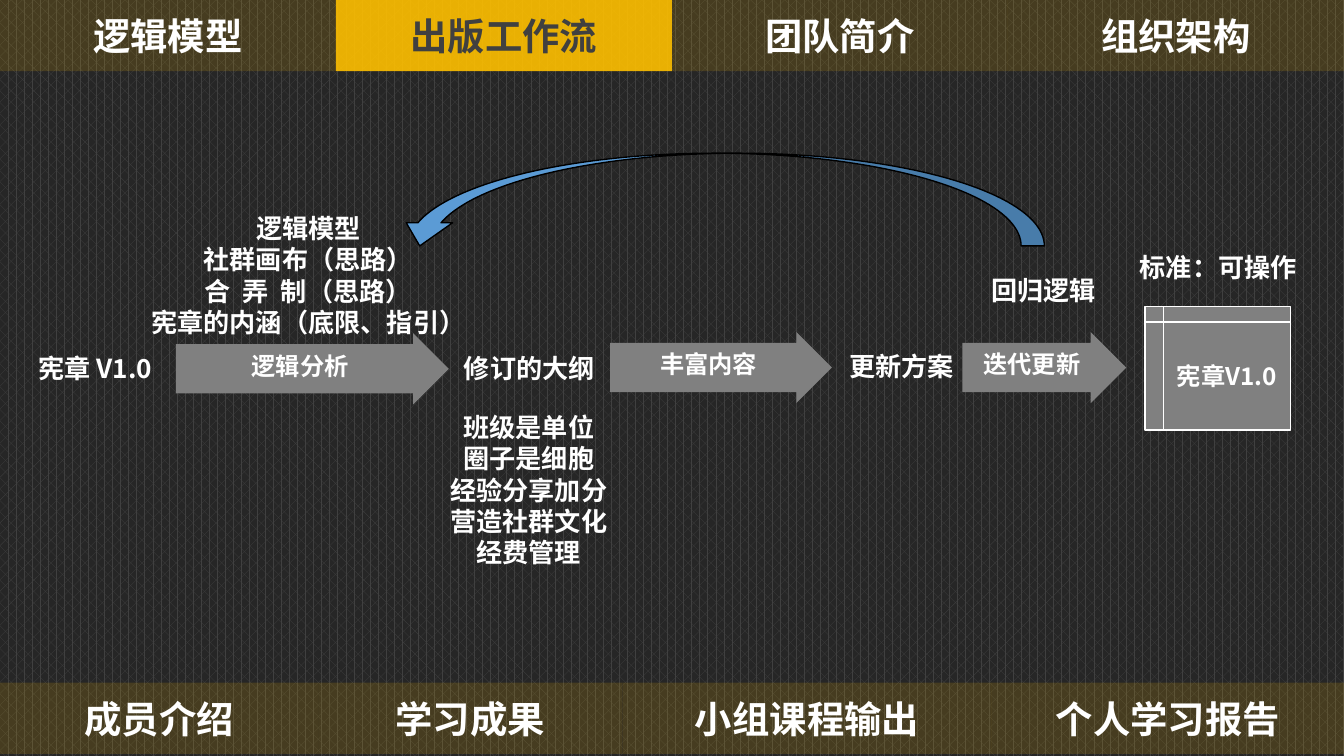
from itertools import accumulate

from lxml.etree import SubElement
from pptx import Presentation
from pptx.dml.color import RGBColor
from pptx.enum.dml import MSO_PATTERN
from pptx.enum.shapes import MSO_SHAPE
from pptx.enum.text import MSO_ANCHOR, MSO_AUTO_SIZE, PP_ALIGN
from pptx.oxml.ns import qn
from pptx.util import Inches, Pt

WHITE = RGBColor(0xFF, 0xFF, 0xFF)
BLACK = RGBColor(0x00, 0x00, 0x00)
CHARCOAL = RGBColor(0x26, 0x26, 0x26)
SLATE = RGBColor(0x40, 0x40, 0x40)
GRAY = RGBColor(0x80, 0x80, 0x80)
GOLD = RGBColor(0xFF, 0xC0, 0x00)
BLUE = RGBColor(0x5B, 0x9B, 0xD5)

FONT = "Noto Sans CJK SC"
SLIDE_WIDTH = 10
SLIDE_HEIGHT = SLIDE_WIDTH * 9 / 16
TAB_HEIGHT = 0.53
ACTIVE_TAB = "出版工作流"

NAVIGATION = [
    (0, [("逻辑模型", 2.5), ("出版工作流", 2.5), ("团队简介", 2.5), ("组织架构", 2.5)]),
    (5.08, [("成员介绍", 2.37), ("学习成果", 2.26), ("小组课程输出", 2.75), ("个人学习报告", 2.62)]),
]
STEPS = [
    ("逻辑分析", 1.31, 2.48, 2.03),
    ("丰富内容", 4.54, 2.47, 1.65),
    ("迭代更新", 7.16, 2.47, 1.22),
]
LABELS = [
    (["逻辑模型", "社群画布（思路）", "合  弄  制（思路）", "宪章的内涵（底限、指引）"],
     (0.87, 1.53, 2.85, 1.04)),
    (["宪章 V1.0"], (0.12, 2.57, 1.18, 0.34)),
    (["修订的大纲"], (3.34, 2.57, 1.2, 0.34)),
    (["更新方案"], (6.18, 2.56, 1.06, 0.34)),
    (["班级是单位", "圈子是细胞", "经验分享加分", "营造社群文化", "经费管理"],
     (2.51, 3.01, 2.85, 1.28)),
    (["回归逻辑"], (7.11, 1.99, 1.31, 0.34)),
    (["标准：可操作"], (8.34, 1.82, 1.45, 0.34)),
]
CHARTER = ("宪章V1.0", (8.52, 2.28, 1.08, 0.92))
RETURN_ARC = (2.95, 1.14, 4.82, 0.69)

LABEL_FRAME = {"word_wrap": True, "auto_size": MSO_AUTO_SIZE.SHAPE_TO_FIT_TEXT}
STEP_FRAME = {"word_wrap": True, "vertical_anchor": MSO_ANCHOR.TOP}
CENTERED_FRAME = {"word_wrap": True, "vertical_anchor": MSO_ANCHOR.MIDDLE}


def write(shape, lines, size, frame_format, color=WHITE):
    frame = shape.text_frame
    for name, value in frame_format.items():
        setattr(frame, name, value)
    frame.text = "\n".join(lines)
    font_format = {"name": FONT, "size": Pt(size), "bold": True}
    for paragraph in frame.paragraphs:
        paragraph.alignment = PP_ALIGN.CENTER
        for run in paragraph.runs:
            for name, value in font_format.items():
                setattr(run.font, name, value)
            run.font.color.rgb = color
            SubElement(run.font._element, qn("a:ea"), typeface=FONT)


def add_figure(slide, preset, box, fill, outline=None, opacity=None):
    figure = slide.shapes.add_shape(preset, *map(Inches, box))
    figure.shadow.inherit = False
    figure.fill.solid()
    figure.fill.fore_color.rgb = fill
    if opacity is not None:
        color = figure.fill._xPr.find(qn("a:solidFill"))[0]
        SubElement(color, qn("a:alpha"), val=str(opacity * 1000))
    if outline is None:
        figure.line.fill.background()
    else:
        figure.line.color.rgb = outline
        figure.line.width = Pt(0.75)
    return figure


def main():
    deck = Presentation()
    deck.slide_width, deck.slide_height = Inches(SLIDE_WIDTH), Inches(SLIDE_HEIGHT)
    slide = deck.slides.add_slide(deck.slide_layouts[6])
    backdrop = slide.background.fill
    backdrop.patterned()
    backdrop.pattern = MSO_PATTERN.PERCENT_60
    backdrop.fore_color.rgb = SLATE
    backdrop.back_color.rgb = CHARCOAL

    for lines, box in LABELS:
        label = slide.shapes.add_textbox(*map(Inches, box))
        write(label, lines, 14, LABEL_FRAME)

    for caption, left, top, width in STEPS:
        step = add_figure(slide, MSO_SHAPE.RIGHT_ARROW, (left, top, width, 0.53), GRAY)
        step.adjustments[0] = 0.69
        write(step, [caption], 13, STEP_FRAME)

    caption, box = CHARTER
    charter = add_figure(slide, MSO_SHAPE.FLOWCHART_INTERNAL_STORAGE, box, GRAY, WHITE)
    write(charter, [caption], 13, CENTERED_FRAME)

    for top, tabs in NAVIGATION:
        lefts = accumulate((width for _, width in tabs), initial=0)
        for (caption, width), left in zip(tabs, lefts):
            active = caption == ACTIVE_TAB
            tab = add_figure(slide, MSO_SHAPE.RECTANGLE, (left, top, width, TAB_HEIGHT),
                             GOLD, opacity=90 if active else 15)
            write(tab, [caption], 20, CENTERED_FRAME, SLATE if active else WHITE)

    return_arc = add_figure(slide, MSO_SHAPE.CURVED_UP_ARROW, RETURN_ARC, BLUE, BLACK)
    return_arc.rotation = 180

    deck.save("out.pptx")


if __name__ == "__main__":
    main()
